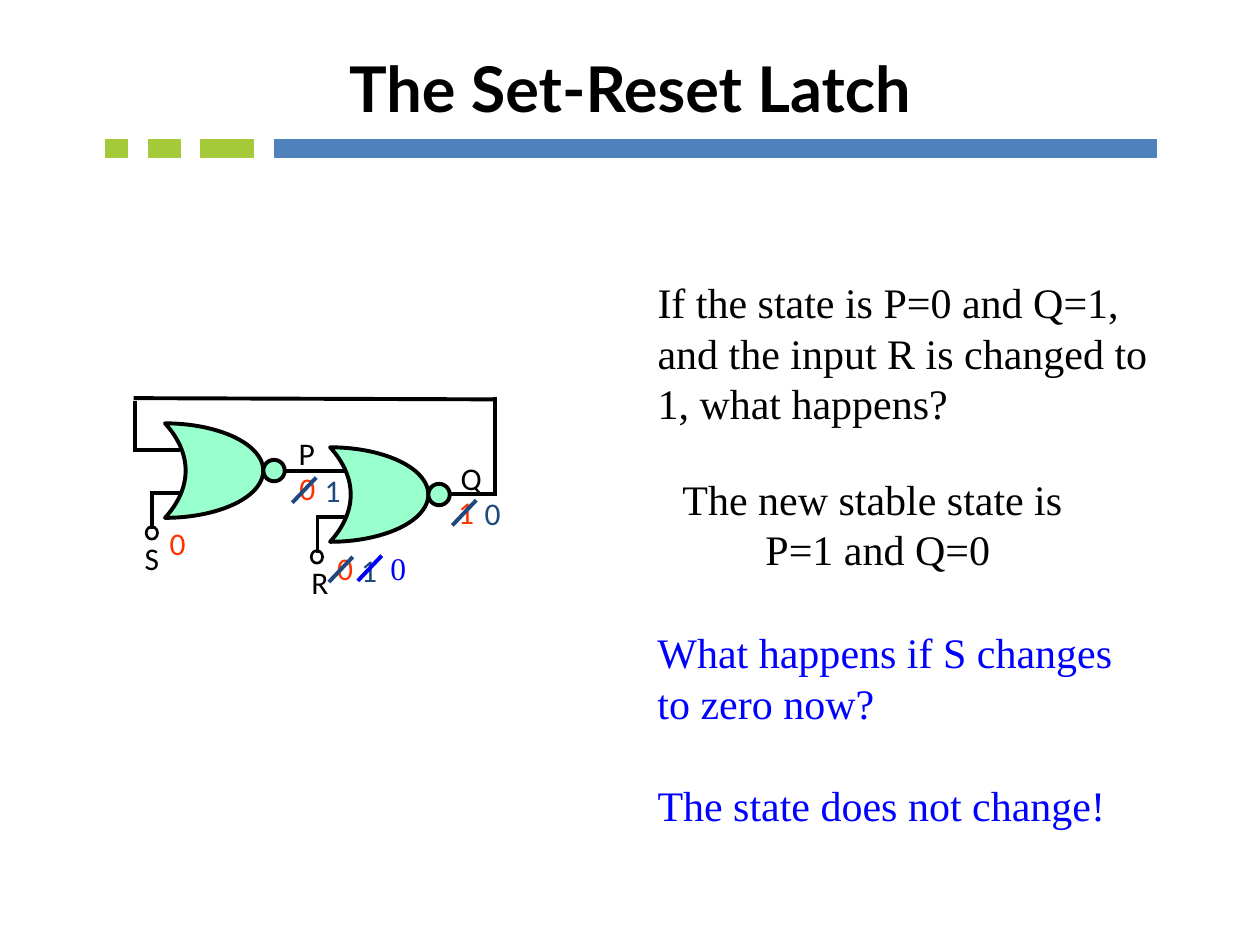
import pptx
import pptx.dml.color
import pptx.enum.shapes
import pptx.enum.text
import pptx.oxml.ns
import pptx.util
from lxml import etree

Inches = pptx.util.Inches
Pt = pptx.util.Pt
RGBColor = pptx.dml.color.RGBColor
SHAPE = pptx.enum.shapes.MSO_SHAPE
LEFT = pptx.enum.text.PP_ALIGN.LEFT
CENTER = pptx.enum.text.PP_ALIGN.CENTER

BLACK = RGBColor(0x00, 0x00, 0x00)
BAR_BLUE = RGBColor(0x4F, 0x81, 0xBD)
BAR_GREEN = RGBColor(0xA4, 0xCA, 0x39)
MINT = RGBColor(0x99, 0xFF, 0xCC)
RED = RGBColor(0xFF, 0x33, 0x00)
NAVY = RGBColor(0x1F, 0x49, 0x7D)
BLUE = RGBColor(0x00, 0x00, 0xFF)

SERIF = "Times New Roman"
SANS = "Calibri"


def add_filled_shape(slide, kind, box, fill, line, weight):
    """Add a preset shape; a fill of None leaves it hollow."""
    shape = slide.shapes.add_shape(kind, *map(Inches, box))
    shape.shadow.inherit = False
    if fill is None:
        shape.fill.background()
    else:
        shape.fill.solid()
        shape.fill.fore_color.rgb = fill
    shape.line.color.rgb = line
    shape.line.width = Pt(weight)
    return shape


def add_wire(slide, start, end, color=BLACK):
    connector = slide.shapes.add_connector(
        pptx.enum.shapes.MSO_CONNECTOR.STRAIGHT, *map(Inches, start + end))
    connector.line.color.rgb = color
    connector.line.width = Pt(2.25)
    etree.SubElement(connector._element.spPr, pptx.oxml.ns.qn("a:effectLst"))


def add_text(slide, box, lines, size, color=BLACK, font=SERIF,
             align=LEFT, bold=False, grow=True):
    """Add a text box with one paragraph per line."""
    frame = slide.shapes.add_textbox(*map(Inches, box)).text_frame
    frame.word_wrap = not grow
    frame.vertical_anchor = pptx.enum.text.MSO_ANCHOR.MIDDLE
    if grow:
        frame.auto_size = pptx.enum.text.MSO_AUTO_SIZE.SHAPE_TO_FIT_TEXT
    for index, line in enumerate(lines):
        paragraph = frame.paragraphs[0] if index == 0 else frame.add_paragraph()
        paragraph.alignment = align
        run = paragraph.add_run()
        run.text = line
        run.font.size = Pt(size)
        run.font.name = font
        run.font.bold = bold
        run.font.color.rgb = color


def add_header(slide):
    add_filled_shape(slide, SHAPE.RECTANGLE, (2.18, 1.11, 7, 0.14),
                     BAR_BLUE, BAR_BLUE, 0.75)
    for left, width in ((0.84, 0.17), (1.18, 0.25), (1.59, 0.42)):
        add_filled_shape(slide, SHAPE.RECTANGLE, (left, 1.11, width, 0.14),
                         BAR_GREEN, BAR_GREEN, 0.75)
    add_text(slide, (0.5, 0.3, 9, 0.78), ["The Set-Reset Latch"], 36,
             font="Lato", align=CENTER, bold=True, grow=False)


def add_nor_gate(slide, left, top):
    """Add a gate body, its inverting bubble and its lower input with terminal."""
    body = add_filled_shape(slide, SHAPE.MOON, (left, top, 0.78, 0.75),
                            MINT, BLACK, 2.25)
    body.adjustments[0] = 0.79
    body._element.spPr.xfrm.set("flipH", "1")
    add_filled_shape(slide, SHAPE.OVAL, (left + 0.78, top + 0.29, 0.17, 0.17),
                     MINT, BLACK, 2.25)
    add_wire(slide, (left - 0.1, top + 0.55), (left + 0.12, top + 0.55))
    add_wire(slide, (left - 0.1, top + 0.54), (left - 0.1, top + 0.84))
    add_filled_shape(slide, SHAPE.OVAL, (left - 0.15, top + 0.82, 0.09, 0.1),
                     None, BLACK, 1.5)


def add_circuit(slide):
    add_wire(slide, (2.08, 3.74), (2.75, 3.74))
    add_nor_gate(slide, 1.31, 3.36)
    add_nor_gate(slide, 2.62, 3.55)
    feedback = (
        ((3.92, 3.92), (3.58, 3.92)),
        ((3.93, 3.15), (3.93, 3.94)),
        ((1.06, 3.16), (3.94, 3.17)),
        ((1.07, 3.18), (1.07, 3.59)),
        ((1.09, 3.57), (1.43, 3.57)),
    )
    for start, end in feedback:
        add_wire(slide, start, end)
    for name, left, top, width in (("P", 2.26, 3.41, 0.35), ("Q", 3.55, 3.61, 0.38),
                                   ("S", 1.03, 4.24, 0.35), ("R", 2.36, 4.43, 0.36)):
        add_text(slide, (left, top, width, 0.37), [name], 18, font=SANS, align=CENTER)


def add_value(slide, digit, left, top, color, font=SANS):
    add_text(slide, (left, top, 0.34, 0.4), [digit], 18, color, font, CENTER)


def add_new_value(slide, digit, left, top, color, font=SANS):
    """Strike out the value to the left and write the one that replaces it."""
    add_wire(slide, (left - 0.15, top + 0.3), (left + 0.04, top + 0.1), color)
    add_value(slide, digit, left, top, color, font)


def add_signal_values(slide):
    for digit, left, top in (("0", 1.24, 4.11), ("0", 2.57, 4.31),
                             ("0", 2.27, 3.67), ("1", 3.53, 3.86)):
        add_value(slide, digit, left, top, RED)
    for digit, left, top in (("1", 2.76, 4.32), ("1", 2.47, 3.69), ("0", 3.74, 3.87)):
        add_new_value(slide, digit, left, top, NAVY)
    add_new_value(slide, "0", 2.99, 4.31, BLUE, SERIF)


def add_questions(slide):
    add_text(slide, (5.12, 2.14, 4.12, 1.31),
             ["If the state is P=0 and Q=1,",
              "and the input R is changed to",
              "1, what happens?"], 24)
    add_text(slide, (5.3, 3.7, 3.25, 0.91),
             ["The new stable state is", " P=1 and Q=0"], 24, align=CENTER)
    add_text(slide, (5.12, 4.92, 3.93, 0.91),
             ["What happens if S changes", "to zero now?"], 24, BLUE)
    add_text(slide, (5.12, 6.14, 3.79, 0.5),
             ["The state does not change!"], 24, BLUE)


def main():
    presentation = pptx.Presentation()
    presentation.slide_width = Inches(10)
    presentation.slide_height = Inches(7.5)
    slide = presentation.slides.add_slide(presentation.slide_layouts[6])
    add_header(slide)
    add_circuit(slide)
    add_signal_values(slide)
    add_questions(slide)
    presentation.save("out.pptx")


if __name__ == "__main__":
    main()
